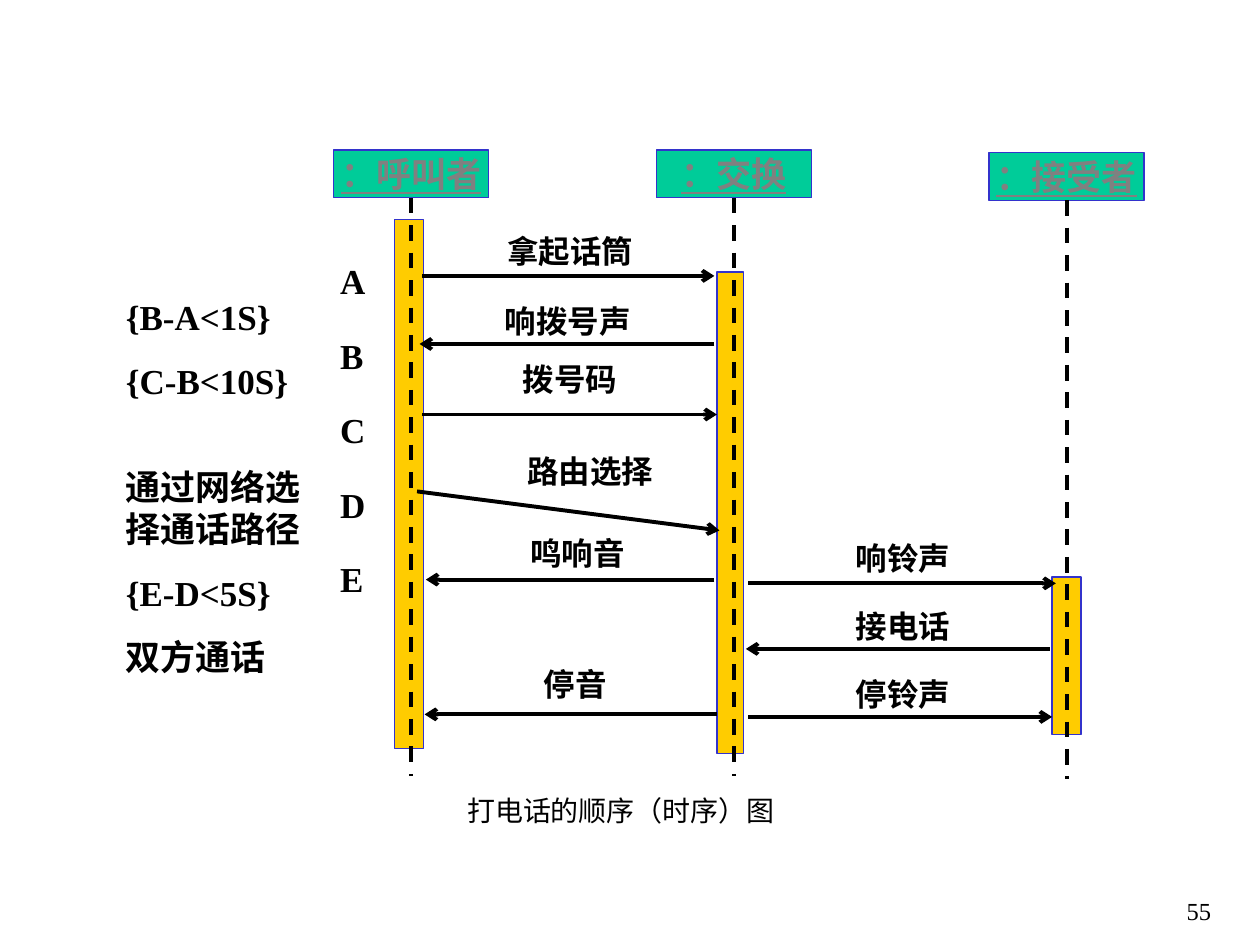
from lxml import etree
from pptx import Presentation
from pptx.dml.color import RGBColor
from pptx.enum.dml import MSO_LINE_DASH_STYLE as DASH
from pptx.enum.shapes import MSO_CONNECTOR, MSO_SHAPE
from pptx.enum.text import MSO_ANCHOR, PP_ALIGN
from pptx.oxml.ns import qn
from pptx.util import Inches, Pt

COLORS = {"ink": "000000", "header": "00CC99", "bar": "FFCC00",
          "outline": "3333CC", "name": "808080"}
FONT = "Times New Roman"

LIFELINES = [
    ("：呼叫者", (2.65, 1.19), (3.13, 1.74, 0.23, 4.2)),
    ("：交换", (5.21, 1.19), (5.69, 2.16, 0.21, 3.82)),
    ("：接受者", (7.85, 1.21), (8.35, 4.58, 0.23, 1.25)),
]
MESSAGES = [
    ("拿起话筒", (3.65, 1.79), (3.35, 2.19), (5.67, 2.19)),
    ("响拨号声", (3.63, 2.35), (5.67, 2.73), (3.33, 2.73)),
    ("拨号码", (3.65, 2.81), (3.35, 3.29), (5.69, 3.29)),
    ("路由选择", (3.81, 3.54), (3.31, 3.9), (5.71, 4.21)),
    ("鸣响音", (3.71, 4.19), (5.67, 4.6), (3.38, 4.6)),
    ("停音", (3.69, 5.23), (5.69, 5.67), (3.37, 5.67)),
    ("响铃声", (6.29, 4.23), (5.94, 4.63), (8.38, 4.63)),
    ("接电话", (6.29, 4.77), (8.33, 5.15), (5.92, 5.15)),
    ("停铃声", (6.29, 5.31), (5.94, 5.69), (8.35, 5.69)),
]
NOTES = ["{B-A<1S}", "{C-B<10S}", "通过网络选择通话路径", "{E-D<5S}", "双方通话"]
NOTE_GAPS = [0, 12.5, 36.6, 12.5, 12.5]


def color(name):
    return RGBColor.from_string(COLORS[name])


def style_text(frame, size, bold=True, ink="ink", align=PP_ALIGN.LEFT):
    for para in frame.paragraphs:
        para.alignment = align
        for span in para.runs:
            span.font.name = FONT
            span.font.size = Pt(size)
            span.font.bold = bold
            span.font.color.rgb = color(ink)


def add_text(page, bounds, lines, size, gaps=None, spacing=None, **style):
    box = page.shapes.add_textbox(*map(Inches, bounds))
    frame = box.text_frame
    frame.word_wrap = True
    frame.text = "\n".join(lines)
    for para, gap in zip(frame.paragraphs, gaps or [0] * len(lines)):
        para.space_before = Pt(gap)
        if spacing:
            para.line_spacing = spacing
    style_text(frame, size, **style)


def add_rect(page, bounds, fill):
    rect = page.shapes.add_shape(MSO_SHAPE.RECTANGLE, *map(Inches, bounds))
    rect.shadow.inherit = False
    rect.fill.solid()
    rect.fill.fore_color.rgb = color(fill)
    rect.line.color.rgb = color("outline")
    rect.line.width = Pt(0.75)
    return rect


def add_line(page, start, end):
    line = page.shapes.add_connector(
        MSO_CONNECTOR.STRAIGHT, *map(Inches, (*start, *end)))
    line.line.color.rgb = color("ink")
    line.line.width = Pt(2.25)
    etree.SubElement(line._element.spPr, qn("a:effectLst"))
    return line


def add_header(page, name, corner):
    header = add_rect(page, (*corner, 1.23, 0.38), "header")
    frame = header.text_frame
    frame.word_wrap = False
    frame.vertical_anchor = MSO_ANCHOR.MIDDLE
    frame.text = name
    style_text(frame, 20, ink="name", align=PP_ALIGN.CENTER)
    frame.paragraphs[0].runs[0].font.underline = True
    return header


def add_lifeline(page, header, corner):
    left, top = corner
    center = left + 1.23 / 2
    lifeline = add_line(page, (center, top + 0.38), (center, top + 4.97))
    lifeline.line.dash_style = DASH.DASH
    lifeline.begin_connect(header, 2)


def add_message(page, label, corner, start, end):
    arrow = add_line(page, start, end)
    etree.SubElement(arrow.line._get_or_add_ln(), qn("a:tailEnd"), type="arrow")
    add_text(page, (*corner, 1.75, 0.4), [label], 18, align=PP_ALIGN.CENTER)


def add_sequence_diagram(page):
    headers = []
    for name, corner, bar in LIFELINES:
        add_rect(page, bar, "bar")
        headers.append(add_header(page, name, corner))
    for message in MESSAGES:
        add_message(page, *message)
    for header, (name, corner, bar) in zip(headers, LIFELINES):
        add_lifeline(page, header, corner)


def add_annotations(page):
    add_text(page, (2.6, 1.96, 0.69, 2.85), list("ABCDE"), 20,
             gaps=[0] + [15] * 4, spacing=1.15)
    add_text(page, (0.9, 2.3, 1.79, 3.64), NOTES, 20, gaps=NOTE_GAPS)
    add_text(page, (3.61, 6.25, 4.08, 0.37), ["打电话的顺序（时序）图"], 16, bold=False)
    add_text(page, (9.32, 7.06, 0.6, 0.34), ["55"], 14, bold=False)


def main():
    deck = Presentation()
    deck.slide_width, deck.slide_height = Inches(10), Inches(7.5)
    page = deck.slides.add_slide(deck.slide_layouts[6])
    add_sequence_diagram(page)
    add_annotations(page)
    deck.save("out.pptx")


if __name__ == "__main__":
    main()
